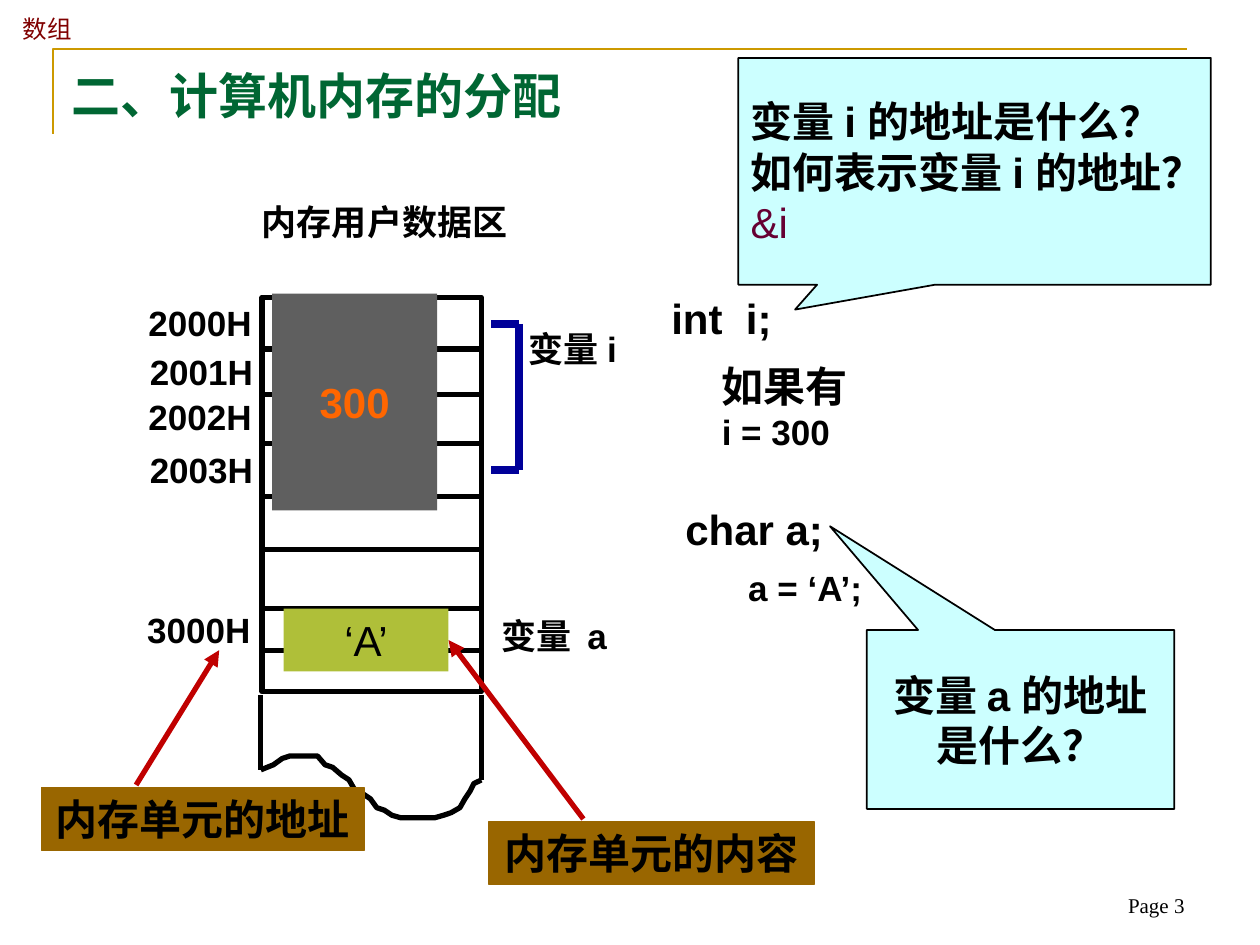
from lxml import etree
from pptx import Presentation
from pptx.dml.color import RGBColor
from pptx.enum.shapes import MSO_CONNECTOR, MSO_SHAPE
from pptx.enum.text import MSO_ANCHOR, PP_ALIGN
from pptx.oxml.ns import qn
from pptx.util import Inches, Pt

LEFT, MID, RIGHT = PP_ALIGN.LEFT, PP_ALIGN.CENTER, PP_ALIGN.RIGHT
TOP, CENTER, BOTTOM = MSO_ANCHOR.TOP, MSO_ANCHOR.MIDDLE, MSO_ANCHOR.BOTTOM
RECT, CALL = MSO_SHAPE.RECTANGLE, MSO_SHAPE.RECTANGULAR_CALLOUT
STRAIGHT = MSO_CONNECTOR.STRAIGHT

THEME = {
    "sans": "Arial", "serif": "Times New Roman", "cjk": "Noto Sans CJK SC",
    "title": 28, "big": 24, "mid": 20, "head": 14, "foot": 12,
    "ink": "000000", "green": "006633", "red": "800000", "gold": "CC9900",
    "brown": "996600", "navy": "000099", "arrow": "C00000", "gray": "5F5F5F",
    "orange": "FF6600", "lime": "AFBF39", "pale": "CCFFFF", "plum": "660033",
}

TITLE = "二、计算机内存的分配"
HEAD = "数组"
FOOT = "Page 3"
CELLS = [
    ("2000H", 1.08, 2.34), ("2001H", 1.09, 2.73), ("2002H", 1.08, 3.09),
    ("2003H", 1.09, 3.51), ("3000H", 1.07, 4.78),
]
NAMES = [
    ("内存用户数据区", 1.98, 1.54, 2.15), ("变量 i", 4.1, 2.55, 0.97),
    ("变量  a", 3.88, 4.83, 1.11),
]
CODE = [
    ([("int  i;", "big")], (5.23, 2.27, 1.33, 0.5)),
    ([("如果有", "big"), ("i = 300", "mid")], (5.63, 2.81, 3.75, 0.83)),
    ([("char a;", "big")], (5.34, 3.95, 1.31, 0.5)),
    ([("a = ‘A’;", "mid")], (5.84, 4.45, 4.16, 0.43)),
]
TAGS = [
    ("内存单元的地址", (0.33, 6.25, 2.56, 0.5)),
    ("内存单元的内容", (3.88, 6.52, 2.58, 0.5)),
]
ASK_I = ["变量 i 的地址是什么？", "如何表示变量 i 的地址？"]
ASK_A = "变量 a 的地址是什么？"

STACK = (2.08, 2.36, 1.74, 3.13)
RULES = [2.77, 3.13, 3.52, 3.94, 4.36, 4.83, 5.16]
SIDES = [(2.07, 6.11), (3.82, 6.19)]
BRACE = [(3.9, 2.57), (4.12, 2.57), (4.12, 3.73), (3.9, 3.73)]
FRAME = [(0.42, 1.06), (0.42, 0.39), (9.42, 0.39)]
TEAR = [
    (2.07, 6.11), (2.17, 6.07), (2.24, 6.02), (2.3, 6), (2.52, 6),
    (2.58, 6.07), (2.64, 6.09), (2.71, 6.15), (2.77, 6.19), (2.81, 6.26),
    (2.88, 6.3), (2.94, 6.34), (2.99, 6.41), (3.05, 6.43), (3.11, 6.47),
    (3.18, 6.49), (3.45, 6.49), (3.52, 6.47), (3.58, 6.45), (3.65, 6.41),
    (3.69, 6.34), (3.73, 6.28), (3.76, 6.22), (3.82, 6.19),
]

deck = Presentation()
deck.slide_width, deck.slide_height = Inches(10), Inches(7.5)
slide = deck.slides.add_slide(deck.slide_layouts[5])
shapes = slide.shapes


def tone(name):
    return RGBColor.from_string(THEME[name])


def span(box):
    return [Inches(v) for v in box]


def para(text, size="big", color="ink", bold=True, face="sans"):
    return text, size, color, bold, face


def write(shape, paras, align=LEFT, anchor=TOP, wrap=True):
    frame = shape.text_frame
    frame.word_wrap, frame.vertical_anchor = wrap, anchor
    for n, (text, size, color, bold, face) in enumerate(paras):
        p = frame.add_paragraph() if n else frame.paragraphs[0]
        p.text, p.alignment = text, align
        font = p.font
        font.size, font.bold, font.name = Pt(THEME[size]), bold, THEME[face]
        font.color.rgb = tone(color)


def label(box, paras, **kw):
    write(shapes.add_textbox(*span(box)), paras, **kw)


def paint(shape, fill=None, line=None, width=1):
    shape.shadow.inherit = False
    if fill:
        shape.fill.solid()
        shape.fill.fore_color.rgb = tone(fill)
    else:
        shape.fill.background()
    if line:
        shape.line.color.rgb, shape.line.width = tone(line), Pt(width)
    else:
        shape.line.fill.background()


def block(box, fill=None, line=None, width=1, kind=RECT):
    shape = shapes.add_shape(kind, *span(box))
    paint(shape, fill, line, width)
    return shape


def trace(points, color, width):
    pts = [span(p) for p in points]
    pen = shapes.build_freeform(*pts[0])
    pen.add_line_segments(pts[1:], close=False)
    paint(pen.convert_to_shape(), None, color, width)


def rule(start, end, color="ink", width=3, head=False):
    line = shapes.add_connector(STRAIGHT, *span(start + end))
    line.line.color.rgb, line.line.width = tone(color), Pt(width)
    if head:
        etree.SubElement(line.line._get_or_add_ln(), qn("a:tailEnd"), type="triangle")
    etree.SubElement(line._element.spPr, qn("a:effectLst"))
    return line


def bubble(box, tip, paras, align=LEFT):
    shape = block(box, "pale", "ink", kind=CALL)
    shape.adjustments[0], shape.adjustments[1] = tip
    write(shape, paras, align, CENTER)


trace(FRAME, "gold", 1.5)
label((0.08, 0.06, 0.79, 0.44), [para(HEAD, "head", "red", False, "cjk")], wrap=False)
label((7.17, 6.83, 2.33, 0.5), [para(FOOT, "foot", bold=False, face="serif")],
      align=RIGHT, anchor=BOTTOM)

title = shapes.title
title.left, title.top, title.width, title.height = span((0.47, 0.47, 9, 1.25))
write(title, [para(TITLE, "title", "green", face="serif")])

block(STACK, line="ink", width=3)
for y in RULES:
    rule((2.08, y), (3.83, y))
for x, y in SIDES:
    rule((x, 5.52), (x, y))
trace(TEAR, "ink", 3)
for start, end in zip(BRACE, BRACE[1:]):
    rule(start, end, "navy", 4.5)

for text, x, y in CELLS:
    label((x, y, 1.02, 0.43), [para(text, "mid")], wrap=False)
for text, x, y, w in NAMES:
    label((x, y, w, 0.43), [para(text, "mid")], wrap=False)
for rows, box in CODE:
    label(box, [para(*row) for row in rows])

for text, box in TAGS:
    write(block(box, "brown", "brown"), [para(text)], MID, CENTER)
write(block((2.16, 2.33, 1.31, 1.72), "gray"), [para("300", color="orange")], MID, CENTER)
value = block((2.25, 4.83, 1.31, 0.5), "lime")
write(value, [para("‘A’", bold=False)], MID, CENTER)
rule((1.08, 6.23), (1.74, 5.16), "arrow", head=True)
rule((4.63, 6.5), (3.56, 5.08), "arrow", head=True).end_connect(value, 3)

bubble((5.86, 0.46, 3.75, 1.8), (-0.38, 0.61),
       [para(t) for t in ASK_I] + [para("&i", color="plum", bold=False)])
bubble((6.88, 5, 2.44, 1.42), (-0.62, -1.08), [para(ASK_A)], MID)

deck.save("out.pptx")
